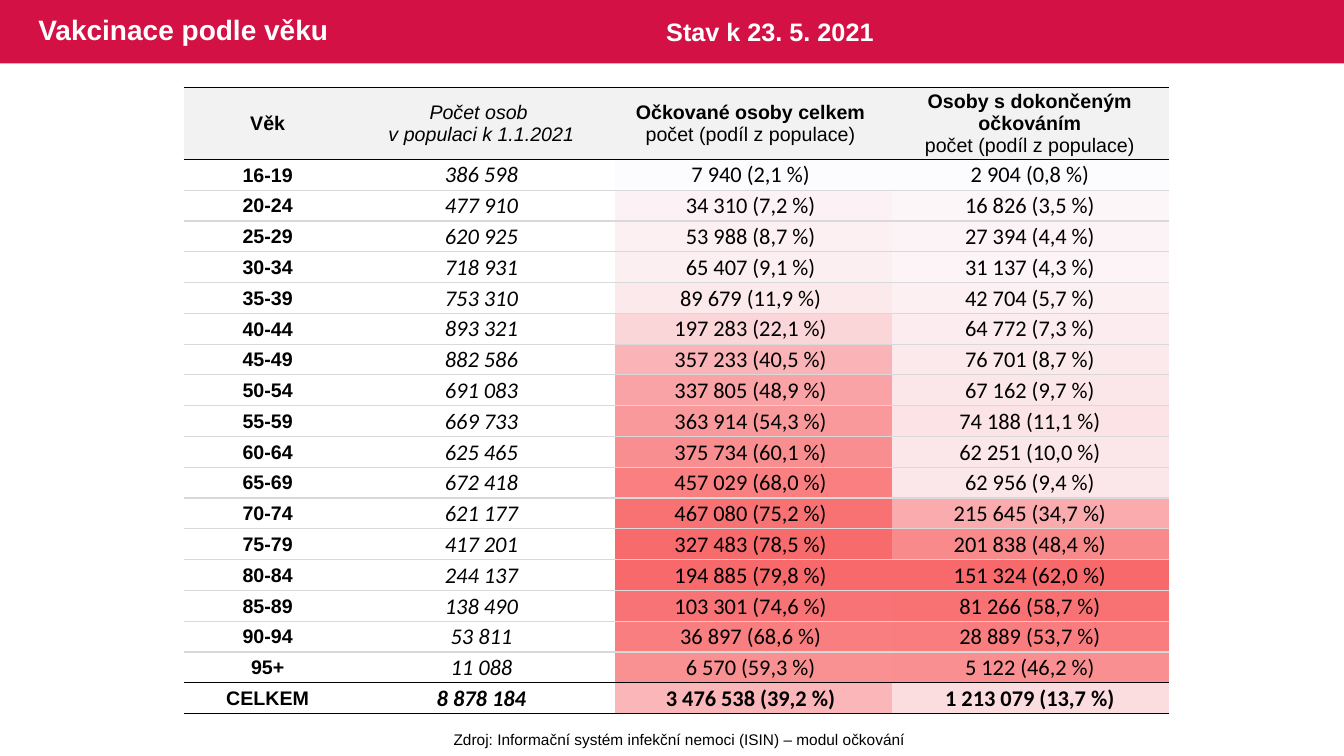
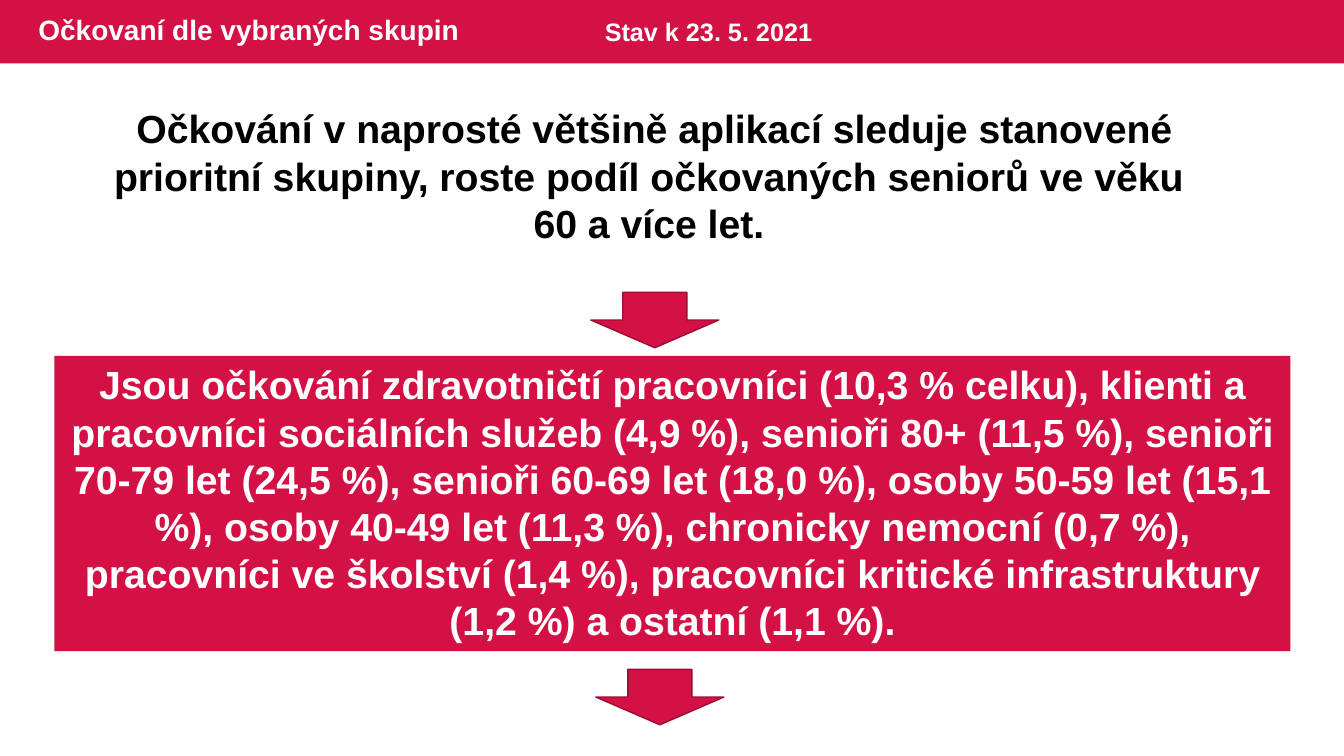
from lxml import etree
from pptx import Presentation
from pptx.dml.color import RGBColor
from pptx.enum.shapes import MSO_SHAPE as SHAPE
from pptx.enum.text import MSO_ANCHOR as ANCHOR, MSO_AUTO_SIZE as AUTO, PP_ALIGN as ALIGN
from pptx.oxml.ns import qn
from pptx.util import Inches, Pt

COLORS = {
    "brand": "D31145", "brand_dark": "9C0D33", "white": "FFFFFF", "black": "000000",
    "header": "F2F2F2", "rule": "D9D9D9", "scale_low": "FCFCFF", "scale_high": "F8696B",
}
SLIDE_W, SLIDE_H, BAND_H = 13.33, 7.5, 0.63
STATUS = "Stav k 23. 5. 2021"
PLAIN_TABLE = "{2D5ABB26-0587-4C30-8999-92F81FD0307C}"

# Each header cell holds lines of (text, bold, italic).
HEADER = [
    [("Věk", True, False)],
    [("Počet osob ", False, True), ("v populaci k 1.1.2021", False, True)],
    [("Očkované osoby celkem", True, False), ("počet (podíl z populace)", False, False)],
    [("Osoby s dokončeným očkováním", True, False), ("počet (podíl z populace)", False, False)],
]
# Age group, population, (vaccinated, share), (completed, share)
AGE_ROWS = [
    ("16-19", "386 598", ("7 940", 2.1), ("2 904", 0.8)),
    ("20-24", "477 910", ("34 310", 7.2), ("16 826", 3.5)),
    ("25-29", "620 925", ("53 988", 8.7), ("27 394", 4.4)),
    ("30-34", "718 931", ("65 407", 9.1), ("31 137", 4.3)),
    ("35-39", "753 310", ("89 679", 11.9), ("42 704", 5.7)),
    ("40-44", "893 321", ("197 283", 22.1), ("64 772", 7.3)),
    ("45-49", "882 586", ("357 233", 40.5), ("76 701", 8.7)),
    ("50-54", "691 083", ("337 805", 48.9), ("67 162", 9.7)),
    ("55-59", "669 733", ("363 914", 54.3), ("74 188", 11.1)),
    ("60-64", "625 465", ("375 734", 60.1), ("62 251", 10.0)),
    ("65-69", "672 418", ("457 029", 68.0), ("62 956", 9.4)),
    ("70-74", "621 177", ("467 080", 75.2), ("215 645", 34.7)),
    ("75-79", "417 201", ("327 483", 78.5), ("201 838", 48.4)),
    ("80-84", "244 137", ("194 885", 79.8), ("151 324", 62.0)),
    ("85-89", "138 490", ("103 301", 74.6), ("81 266", 58.7)),
    ("90-94", "53 811", ("36 897", 68.6), ("28 889", 53.7)),
    ("95+", "11 088", ("6 570", 59.3), ("5 122", 46.2)),
    ("CELKEM", "8 878 184", ("3 476 538", 39.2), ("1 213 079", 13.7)),
]
COL_WIDTHS = (1.67, 2.57, 2.77, 2.77)
HEAT_W, HEAT_H = 5.49, 5.5
HEADER_H, ROW_H = 0.71, HEAT_H / len(AGE_ROWS)

PRIORITY_LINES = [
    "Očkování v naprosté většině aplikací sleduje stanovené prioritní skupiny, "
    "roste podíl očkovaných seniorů ve věku ",
    "60 a více let. ",
]
GROUP_SHARES = (
    "Jsou očkování zdravotničtí pracovníci (10,3 % celku), klienti a pracovníci sociálních "
    "služeb (4,9 %), senioři 80+ (11,5 %), senioři 70-79 let (24,5 %), senioři 60-69 let "
    "(18,0 %), osoby 50-59 let (15,1 %), osoby 40-49 let (11,3 %), chronicky nemocní (0,7 %), "
    "pracovníci ve školství (1,4 %), pracovníci kritické infrastruktury (1,2 %) a ostatní (1,1 %)."
)


def rgb(name):
    return RGBColor.from_string(COLORS[name])


def place(sp, x, y, w, h):
    sp.left, sp.top, sp.width, sp.height = (Inches(v) for v in (x, y, w, h))


def set_font(p, size, color="black", bold=False, italic=False, name="Arial"):
    font = p.font
    font.name, font.size, font.bold, font.italic = name, Pt(size), bold, italic
    font.color.rgb = rgb(color)


def write(tf, lines, size, color="black", bold=False, align=ALIGN.CENTER):
    for i, line in enumerate(lines):
        p = tf.add_paragraph() if i else tf.paragraphs[0]
        p.text, p.alignment = line, align
        set_font(p, size, color, bold)


def add_text(s, box, lines, size, wrap=True, **style):
    tf = s.shapes.add_textbox(*(Inches(v) for v in box)).text_frame
    tf.word_wrap = wrap
    write(tf, lines, size, **style)


def add_block(s, shape, box, line=None):
    sp = s.shapes.add_shape(shape, *(Inches(v) for v in box))
    sp.shadow.inherit = False
    sp.fill.solid()
    sp.fill.fore_color.rgb = rgb("brand")
    if line:
        sp.line.color.rgb = rgb(line)
        sp.line.width = Pt(1)
    else:
        sp.line.fill.background()
    return sp


def add_layout_band(s):
    """Move a band into the slide's layout, behind everything on its slides."""
    band = add_block(s, SHAPE.RECTANGLE, (0, 0, SLIDE_W, BAND_H))
    s.slide_layout.shapes._spTree.insert(2, band._element)


def add_titled_slide(prs, title, status_x):
    s = prs.slides.add_slide(prs.slide_layouts[5])
    place(s.shapes.title, 0.28, 0, 8.13, BAND_H)
    tf = s.shapes.title.text_frame
    tf.auto_size, tf.vertical_anchor, tf.word_wrap = AUTO.NONE, ANCHOR.MIDDLE, True
    write(tf, [title], 20, "white", True, ALIGN.LEFT)
    tf.paragraphs[0].line_spacing = 0.9
    add_text(s, (status_x, 0.11, 2.96, 0.4), [STATUS], 18,
             color="white", bold=True, align=ALIGN.LEFT)
    return s


def scale_color(share, shares):
    """Blend the two scale colours by where share lies between the extremes."""
    t = (share - min(shares)) / (max(shares) - min(shares))
    low, high = rgb("scale_low"), rgb("scale_high")
    return RGBColor(*(round(a + (b - a) * t) for a, b in zip(low, high)))


def set_borders(cell, top, bottom):
    tc_pr = cell._tc.get_or_add_tcPr()
    for i, (tag, color) in enumerate((("a:lnT", top), ("a:lnB", bottom))):
        ln = etree.Element(qn(tag), w=str(Pt(1)))
        fill = etree.SubElement(ln, qn("a:solidFill"))
        etree.SubElement(fill, qn("a:srgbClr"), val=COLORS[color])
        tc_pr.insert(i, ln)


def fill_cell(cell, color):
    cell.fill.solid()
    cell.fill.fore_color.rgb = color


def add_plain_table(s, x, y, widths, heights):
    """Add a table without style, with centred cells and thin margins."""
    frame = s.shapes.add_table(len(heights), len(widths), Inches(x), Inches(y),
                               Inches(sum(widths)), Inches(sum(heights)))
    table = frame.table
    table._tbl.tblPr.find(qn("a:tableStyleId")).text = PLAIN_TABLE
    table.first_row = table.horz_banding = False
    for col, width in zip(table.columns, widths):
        col.width = Inches(width)
    for row, height in zip(table.rows, heights):
        row.height = Inches(height)
    for cell in table.iter_cells():
        cell.vertical_anchor = ANCHOR.MIDDLE
        cell.margin_left = cell.margin_right = cell.margin_top = Inches(0.01)
        cell.margin_bottom = 0
    return table


def add_heat_table(s, x, y):
    """Add the coloured cells that lie behind the two share columns."""
    table = add_plain_table(s, x, y, [HEAT_W / 2] * 2, [ROW_H] * len(AGE_ROWS))
    for c in range(2):
        shares = [row[c + 2][1] for row in AGE_ROWS]
        for r, share in enumerate(shares):
            cell = table.cell(r, c)
            fill_cell(cell, scale_color(share, shares))
            # A small end mark keeps the empty row from growing.
            p = cell.text_frame.paragraphs[0]
            etree.SubElement(p._p, qn("a:endParaRPr"), sz="1000")


def add_age_table(s, x, y):
    table = add_plain_table(s, x, y, COL_WIDTHS, [HEADER_H] + [ROW_H] * len(AGE_ROWS))
    total = len(AGE_ROWS)
    for r, row in enumerate(table.rows):
        # Black rules frame the header and the total row.
        top = "black" if r in (0, 1, total) else "rule"
        bottom = "black" if r in (0, total - 1, total) else "rule"
        for cell in row.cells:
            set_borders(cell, top, bottom)

    for c, lines in enumerate(HEADER):
        cell = table.cell(0, c)
        fill_cell(cell, rgb("header"))
        write(cell.text_frame, [text for text, _, _ in lines], 14)
        for p, (_, bold, italic) in zip(cell.text_frame.paragraphs, lines):
            p.font.bold, p.font.italic = bold, italic

    for r, values in enumerate(AGE_ROWS, 1):
        for c, value in enumerate(values):
            if c >= 2:
                count, share = value
                value = f"{count} ({share:.1f} %)".replace(".", ",")
            p = table.cell(r, c).text_frame.paragraphs[0]
            p.text, p.alignment = value, ALIGN.CENTER
            if c == 0:
                set_font(p, 14, bold=True)
            else:
                set_font(p, 16, bold=r == total, italic=c == 1, name="Calibri")


def add_age_slide(prs):
    s = add_titled_slide(prs, "Vakcinace podle věku", 6.51)
    add_heat_table(s, 6.1, 1.58)
    add_age_table(s, 1.82, 0.87)
    add_text(s, (4.39, 7.19, 4.7, 0.29),
             ["Zdroj: Informační systém infekční nemoci (ISIN) – modul očkování"], 11, wrap=False)
    return s


def add_groups_slide(prs):
    s = add_titled_slide(prs, "Očkovaní dle vybraných skupin", 5.9)
    add_text(s, (0.7, 0.99, 11.58, 1.51), PRIORITY_LINES, 28, bold=True)
    for x, y in ((5.86, 2.9), (5.91, 6.64)):
        add_block(s, SHAPE.DOWN_ARROW, (x, y, 1.27, 0.55), "brand_dark")
    panel = add_block(s, SHAPE.RECTANGLE, (0.54, 3.53, 12.26, 2.93))
    tf = panel.text_frame
    tf.word_wrap, tf.vertical_anchor = True, ANCHOR.TOP
    write(tf, [GROUP_SHARES], 28, "white", True)


def main():
    prs = Presentation()
    prs.slide_width, prs.slide_height = Inches(SLIDE_W), Inches(SLIDE_H)
    add_layout_band(add_age_slide(prs))
    add_groups_slide(prs)
    prs.save("out.pptx")


if __name__ == "__main__":
    main()
